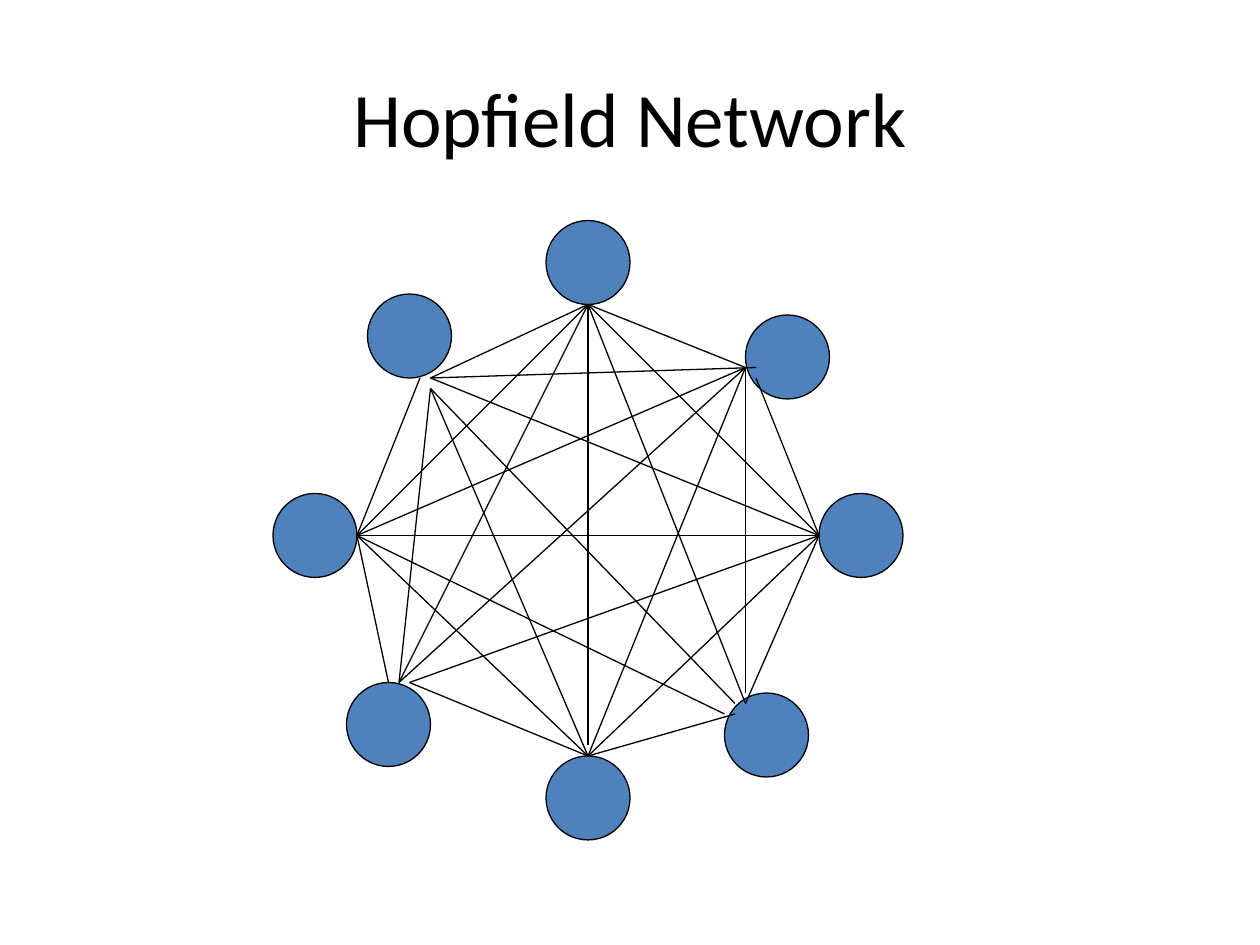
import pptx
import pptx.util
import pptx.dml.color
import pptx.enum.shapes
import pptx.enum.text
import pptx.oxml.ns
import lxml.etree

Cm = pptx.util.Cm
Pt = pptx.util.Pt

COLORS = {"neuron": "4F81BD", "ink": "000000"}
GRID_CM = 2.54 / 12
NEURON_SIZE = 8

neuron_corners = [
    (52, 21), (78, 47), (52, 72), (26, 47),
    (71, 30), (69, 66), (35, 28), (33, 65),
]
connections = {
    (34, 51): [(78, 51), (71, 35), (56, 29), (40, 36), (69, 68), (56, 72), (37, 65)],
    (78, 51): [(41, 36), (56, 29), (72, 36), (39, 65), (56, 72), (71, 67)],
    (41, 36): [(56, 29), (72, 35)],
    (41, 37): [(70, 67), (56, 72), (38, 65)],
    (56, 29): [(38, 65), (56, 71), (71, 67), (71, 35)],
    (71, 35): [(38, 65), (56, 72), (71, 66)],
    (56, 72): [(70, 68), (39, 65)],
}


def grid(*steps):
    return [Cm(step * GRID_CM) for step in steps]


def set_outline(line):
    line.color.rgb = pptx.dml.color.RGBColor.from_string(COLORS["ink"])
    line.width = Pt(0.75)


presentation = pptx.Presentation()
presentation.slide_width = Cm(25.4)
presentation.slide_height = Cm(19.05)
slide = presentation.slides.add_slide(presentation.slide_layouts[6])

title = slide.shapes.add_textbox(Cm(1.27), Cm(0.76), Cm(22.86), Cm(3.18))
text_frame = title.text_frame
text_frame.word_wrap = True
text_frame.vertical_anchor = pptx.enum.text.MSO_ANCHOR.MIDDLE
text_frame.text = "Hopfield Network"
paragraph = text_frame.paragraphs[0]
paragraph.alignment = pptx.enum.text.PP_ALIGN.CENTER
font = paragraph.runs[0].font
font.name = "Calibri"
font.size = Pt(44)
font.color.rgb = pptx.dml.color.RGBColor.from_string(COLORS["ink"])

for left, top in neuron_corners:
    neuron = slide.shapes.add_shape(
        pptx.enum.shapes.MSO_SHAPE.OVAL, *grid(left, top, NEURON_SIZE, NEURON_SIZE)
    )
    neuron.shadow.inherit = False
    neuron.fill.solid()
    neuron.fill.fore_color.rgb = pptx.dml.color.RGBColor.from_string(COLORS["neuron"])
    set_outline(neuron.line)

for start, ends in connections.items():
    for end in ends:
        connector = slide.shapes.add_connector(
            pptx.enum.shapes.MSO_CONNECTOR.STRAIGHT, *grid(*start, *end)
        )
        set_outline(connector.line)
        properties = connector._element.find(pptx.oxml.ns.qn("p:spPr"))
        lxml.etree.SubElement(properties, pptx.oxml.ns.qn("a:effectLst"))

presentation.save("out.pptx")
